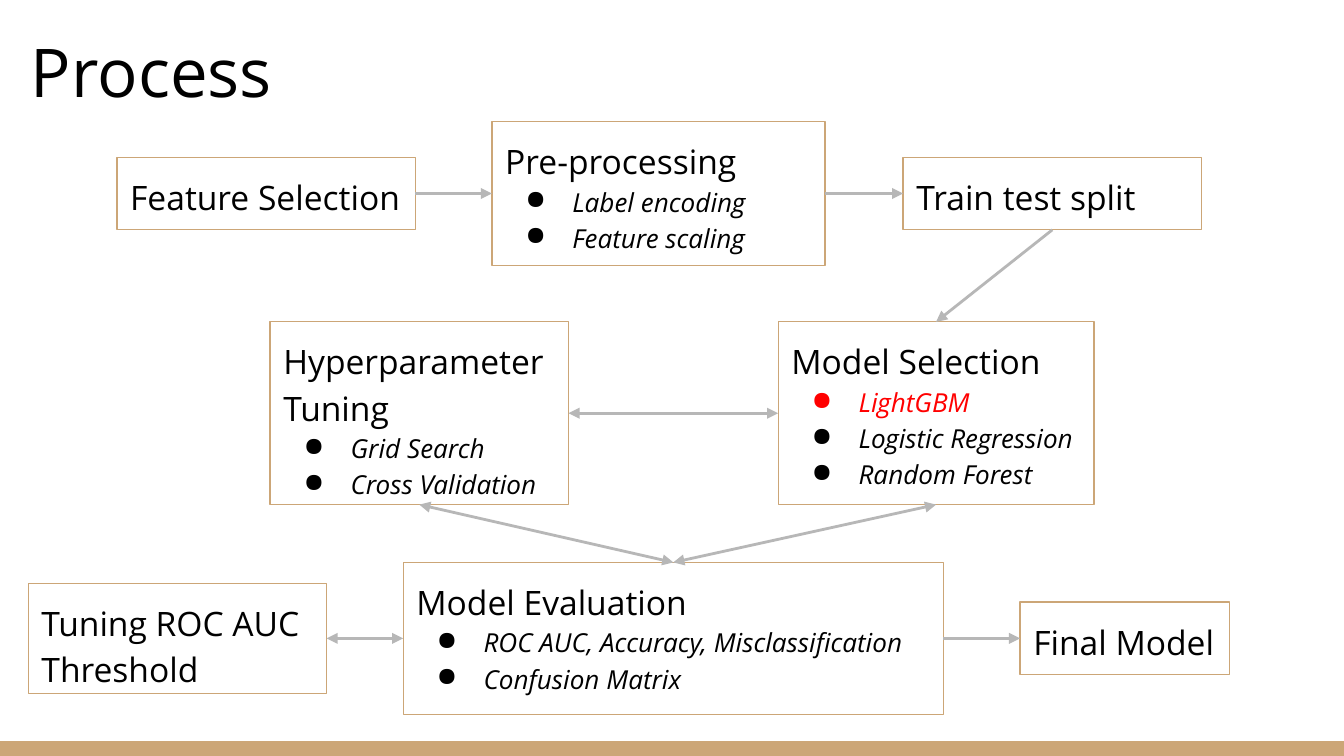
from pptx import Presentation
from pptx import util as u
from pptx.dml import color
from pptx.enum import shapes, text
from pptx.oxml import ns
from lxml import etree

COLUMNS, ROWS = 100, 100 * 9 / 16
TOP_ROW, MIDDLE_ROW, BOTTOM_ROW = 14.4, 30.75, 47.5
CARD_WIDTH, CARD_HEIGHT = 22.2, 5.4
TAN, GREY, BLACK, RED = "CCA677", "B7B7B7", "000000", "FF0000"
TOP, LEFT, BOTTOM, RIGHT = range(4)

HEADING = {"name": "Open Sans", "size": u.Pt(18)}
ITEM = {"name": "Open Sans", "size": u.Pt(14), "italic": True}
TITLE = {"name": "Open Sans", "size": u.Pt(36)}
FRAME = {
    "word_wrap": True,
    "auto_size": text.MSO_AUTO_SIZE.NONE,
    "margin_left": u.Inches(0.1),
    "margin_right": u.Inches(0.1),
    "margin_top": u.Inches(0.1),
    "margin_bottom": u.Inches(0.1),
}

STAGES = {
    "features": (8.7, TOP_ROW, CARD_WIDTH, CARD_HEIGHT, "Feature Selection", []),
    "preparation": (36.6, TOP_ROW, 24.8, 10.7, "Pre-processing",
                    ["Label encoding", "Feature scaling"]),
    "split": (67.2, TOP_ROW, CARD_WIDTH, CARD_HEIGHT, "Train test split", []),
    "tuning": (20.1, MIDDLE_ROW, CARD_WIDTH, 13.6, "Hyperparameter Tuning",
               ["Grid Search", "Cross Validation"]),
    "selection": (57.9, MIDDLE_ROW, 23.5, 13.6, "Model Selection",
                  ["LightGBM", "Logistic Regression", "Random Forest"]),
    "threshold": (2.1, BOTTOM_ROW, CARD_WIDTH, 8.2, "Tuning ROC AUC Threshold", []),
    "evaluation": (30, BOTTOM_ROW, 40.2, 11.3, "Model Evaluation",
                   ["ROC AUC, Accuracy, Misclassification", "Confusion Matrix"]),
    "final": (75.9, BOTTOM_ROW, 15.6, CARD_HEIGHT, "Final Model", []),
}
CHOSEN = "LightGBM"

FLOWS = [
    ("features", RIGHT, "preparation", LEFT, False),
    ("preparation", RIGHT, "split", LEFT, False),
    ("split", BOTTOM, "selection", TOP, False),
    ("tuning", RIGHT, "selection", LEFT, True),
    ("tuning", BOTTOM, "evaluation", TOP, True),
    ("evaluation", TOP, "selection", BOTTOM, True),
    ("threshold", RIGHT, "evaluation", LEFT, True),
    ("evaluation", RIGHT, "final", LEFT, False),
]


def rgb(value):
    return color.RGBColor.from_string(value)


def apply(target, values):
    for name, value in values.items():
        setattr(target, name, value)


def grid_area(deck, left, top, width, height):
    column, row = deck.slide_width / COLUMNS, deck.slide_height / ROWS
    return [round(length * unit) for length, unit in
            zip((left, top, width, height), (column, row, column, row))]


def write(para, words, font, shade, spacing):
    para.alignment = text.PP_ALIGN.LEFT
    para.line_spacing = spacing
    span = para.add_run()
    span.text = words
    apply(span.font, font)
    span.font.color.rgb = rgb(shade)


def add_bullet(para, shade):
    properties = para._p.get_or_add_pPr()
    properties.set("marL", str(u.Inches(0.5)))
    properties.set("indent", str(u.Inches(-0.35)))
    bullet_color = etree.SubElement(properties, ns.qn("a:buClr"))
    etree.SubElement(bullet_color, ns.qn("a:srgbClr"), val=shade)
    etree.SubElement(properties, ns.qn("a:buChar"), char="●")


def add_title(page, area, words):
    title = page.shapes.title
    apply(title, dict(zip(("left", "top", "width", "height"), area)))
    frame = title.text_frame
    apply(frame, {**FRAME, "vertical_anchor": text.MSO_ANCHOR.BOTTOM})
    write(frame.paragraphs[0], words, TITLE, BLACK, 0.2)


def add_box(page, area):
    box = page.shapes.add_shape(shapes.MSO_SHAPE.RECTANGLE, *area)
    box.shadow.inherit = False
    return box


def add_footer(page, area):
    band = add_box(page, area)
    band.fill.solid()
    band.fill.fore_color.rgb = rgb(TAN)
    band.line.fill.background()


def add_stage(page, area, heading, items):
    box = add_box(page, area)
    box.fill.background()
    box.line.color.rgb = rgb(TAN)
    box.line.width = u.Pt(0.75)
    frame = box.text_frame
    apply(frame, {**FRAME, "vertical_anchor": text.MSO_ANCHOR.TOP})
    write(frame.paragraphs[0], heading, HEADING, BLACK, 1.15)
    for item in items:
        shade = RED if item == CHOSEN else BLACK
        para = frame.add_paragraph()
        add_bullet(para, shade)
        write(para, item, ITEM, shade, 1.15)
    return box


def add_flow(page, source, source_side, target, target_side, two_way):
    arrow = page.shapes.add_connector(shapes.MSO_CONNECTOR.STRAIGHT, 0, 0, 0, 0)
    arrow.begin_connect(source, source_side)
    arrow.end_connect(target, target_side)
    arrow.line.color.rgb = rgb(GREY)
    arrow.line.width = u.Pt(1.5)
    line = arrow.line._get_or_add_ln()
    for end in ["headEnd", "tailEnd"] if two_way else ["tailEnd"]:
        etree.SubElement(line, ns.qn(f"a:{end}"), type="triangle")
    etree.SubElement(arrow._element.spPr, ns.qn("a:effectLst"))


def add_process(deck, page):
    boxes = {}
    for name, (left, middle, width, height, heading, items) in STAGES.items():
        area = grid_area(deck, left, middle - height / 2, width, height)
        boxes[name] = add_stage(page, area, heading, items)
    for source, source_side, target, target_side, two_way in FLOWS:
        add_flow(page, boxes[source], source_side, boxes[target], target_side, two_way)


def main():
    deck = Presentation()
    deck.slide_width = u.Inches(10)
    deck.slide_height = deck.slide_width * 9 // 16
    page = deck.slides.add_slide(deck.slide_layouts[5])
    add_footer(page, grid_area(deck, 0, ROWS - 1.1, COLUMNS, 1.1))
    add_title(page, grid_area(deck, 1.3, -0.6, 93.2, 9.1), "Process")
    add_process(deck, page)
    deck.save("out.pptx")


if __name__ == "__main__":
    main()
